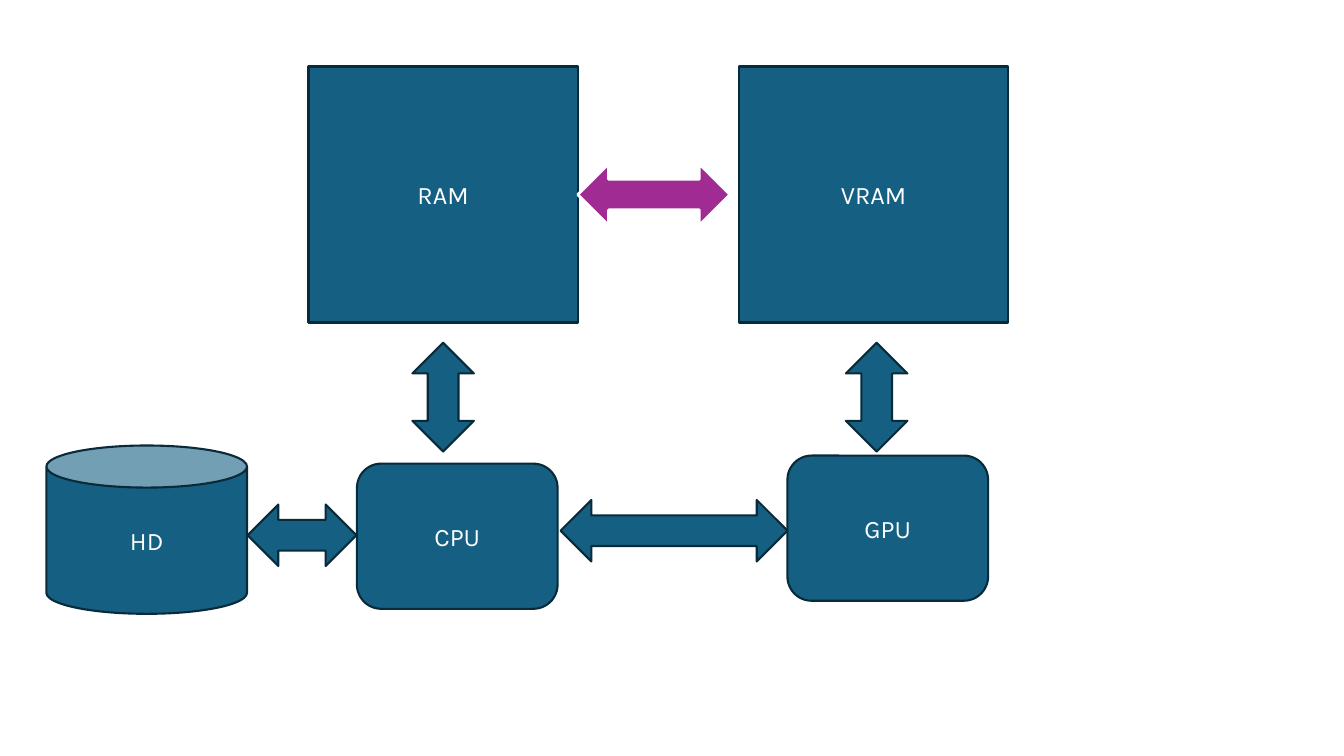
import dataclasses

import pptx
import pptx.dml.color
import pptx.enum.shapes
import pptx.enum.text
import pptx.util

KIND = pptx.enum.shapes.MSO_SHAPE
COLS, ROWS = 133.3, 75
ARROW = 6.1


@dataclasses.dataclass(frozen=True)
class Theme:
    font: str = "Karla"
    size: int = 18
    text: str = "FFFFFF"
    fill: str = "156082"
    edge: str = "092A39"
    accent: str = "A02B93"
    pale: str = "FFFFFF"
    thin: float = 1.5
    thick: float = 2


@dataclasses.dataclass(frozen=True)
class Box:
    left: float
    top: float
    width: float
    height: float


THEME = Theme()
UNIT = pptx.util.Inches(13.33) / COLS


def grid(count):
    return round(count * UNIT)


def color(code):
    return pptx.dml.color.RGBColor.from_string(code)


def write(shape, text, font=THEME.font, size=THEME.size, ink=THEME.text):
    frame = shape.text_frame
    frame.word_wrap = True
    frame.vertical_anchor = pptx.enum.text.MSO_ANCHOR.MIDDLE
    line = frame.paragraphs[0]
    line.alignment = pptx.enum.text.PP_ALIGN.CENTER
    run = line.add_run()
    run.text = text
    run.font.name = font
    run.font.size = pptx.util.Pt(size)
    run.font.color.rgb = color(ink)


def draw(slide, kind, box, text="", fill=THEME.fill, edge=THEME.edge, weight=THEME.thin):
    shape = slide.shapes.add_shape(
        kind, grid(box.left), grid(box.top), grid(box.width), grid(box.height)
    )
    shape.shadow.inherit = False
    shape.fill.solid()
    shape.fill.fore_color.rgb = color(fill)
    shape.line.color.rgb = color(edge)
    shape.line.width = pptx.util.Pt(weight)
    if text:
        write(shape, text)
    return shape


def arrow(slide, mid, level, length, turn=0, **style):
    box = Box(mid - ARROW / 2, level - length / 2, ARROW, length)
    shape = draw(slide, KIND.UP_DOWN_ARROW, box, **style)
    shape.rotation = turn


def memory(slide, box):
    side = 26.7
    for text, shift in (("RAM", 0), ("VRAM", box.width - side)):
        place = Box(box.left + shift, box.top, side, box.height)
        draw(slide, KIND.RECTANGLE, place, text)
    arrow(
        slide, box.left + 34.25, box.top + box.height / 2, 15.1, 90,
        fill=THEME.accent, edge=THEME.pale, weight=THEME.thick,
    )


def links(slide, box):
    for shift in (ARROW / 2, box.width - ARROW / 2):
        arrow(slide, box.left + shift, box.top + box.height / 2, box.height)


def chips(slide, box):
    wide, high = 19.9, 14.4
    parts = (
        ("HD", KIND.CAN, 0, 0, box.height),
        ("CPU", KIND.ROUNDED_RECTANGLE, 30.8, 1.8, high),
        ("GPU", KIND.ROUNDED_RECTANGLE, box.width - wide, 1, high),
    )
    for text, kind, across, down, tall in parts:
        draw(slide, kind, Box(box.left + across, box.top + down, wide, tall), text)
    for across, down, length, turn in ((25.35, 8.9, 10.8, 270), (62.25, 8.45, 22.5, 90)):
        arrow(slide, box.left + across, box.top + down, length, turn)


def main():
    deck = pptx.Presentation()
    deck.slide_width = grid(COLS)
    deck.slide_height = grid(ROWS)
    slide = deck.slides.add_slide(deck.slide_layouts[6])
    memory(slide, Box(30.6, 6.6, 69.4, 25.4))
    links(slide, Box(40.9, 34, 49.1, 10.8))
    chips(slide, Box(4.6, 44.2, 93.4, 16.7))
    deck.save("out.pptx")


if __name__ == "__main__":
    main()
